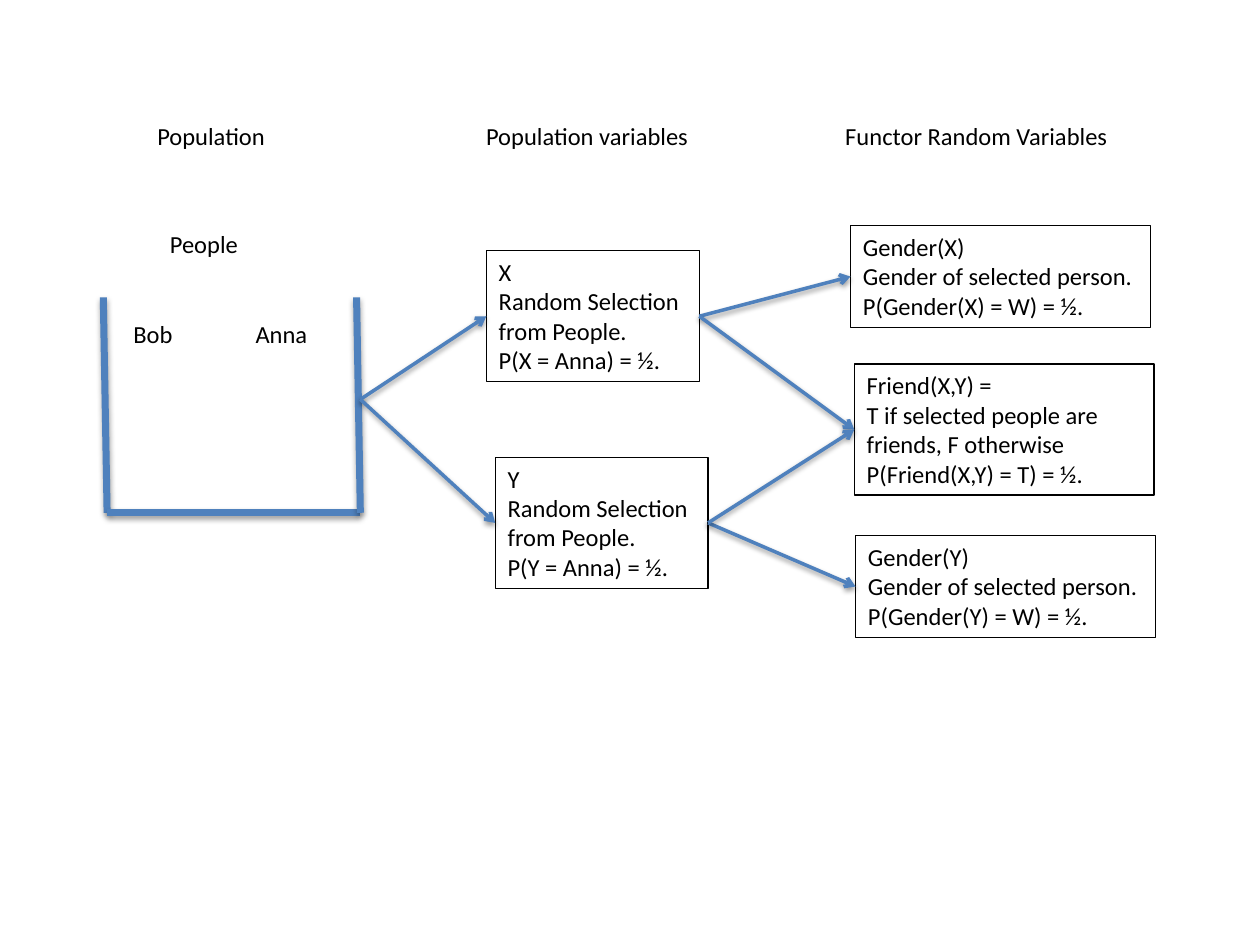
import pptx
import pptx.util
import pptx.dml.color
import pptx.enum.shapes
import pptx.enum.text
import pptx.oxml
import pptx.oxml.ns

COLORS = {"text": "000000", "border": "000000", "line": "4F81BD", "shadow": "000000"}
COLS, ROWS = 100, 75
LEFT, RIGHT = 1, 3  # connection sites of a rectangle


def rgb(name):
    return pptx.dml.color.RGBColor.from_string(COLORS[name])


class Diagram:
    """Style and current slide; lengths are columns and rows of the grid."""

    font = {"name": "Calibri", "size": pptx.util.Pt(14)}
    frame = {
        "word_wrap": True,
        "auto_size": pptx.enum.text.MSO_AUTO_SIZE.SHAPE_TO_FIT_TEXT,
        "vertical_anchor": pptx.enum.text.MSO_ANCHOR.TOP,
    }

    def __init__(self, prs):
        self.s = prs.slides.add_slide(prs.slide_layouts[6])
        self.col = prs.slide_width / COLS
        self.row = prs.slide_height / ROWS

    def place(self, *values):
        """Turn alternating columns and rows into lengths."""
        return [pptx.util.Emu(round(v * (self.row if i % 2 else self.col)))
                for i, v in enumerate(values)]

    def set_text(self, sp, lines):
        """Fill a shape with one left-aligned paragraph of broken lines."""
        tf = sp.text_frame
        for key, value in self.frame.items():
            setattr(tf, key, value)
        p = tf.paragraphs[0]
        p.text = "\v".join(lines)
        p.alignment = pptx.enum.text.PP_ALIGN.LEFT
        for r in p.runs:
            for key, value in self.font.items():
                setattr(r.font, key, value)
            r.font.color.rgb = rgb("text")

    def label(self, x, y, w, text):
        sp = self.s.shapes.add_textbox(*self.place(x, y, w, 3.4))
        self.set_text(sp, [text])

    def box(self, x, y, w, h, *lines):
        sp = self.s.shapes.add_shape(
            pptx.enum.shapes.MSO_SHAPE.RECTANGLE, *self.place(x, y, w, h))
        sp.shadow.inherit = False
        sp.fill.background()
        sp.line.color.rgb = rgb("border")
        sp.line.width = pptx.util.Pt(0.75)
        self.set_text(sp, lines)
        return sp

    def line(self, start, end, width):
        """Draw a shadowed line between two grid points."""
        c = self.s.shapes.add_connector(
            pptx.enum.shapes.MSO_CONNECTOR.STRAIGHT, *self.place(*start, *end))
        c.line.color.rgb = rgb("line")
        c.line.width = pptx.util.Pt(width)
        c.element.spPr.append(pptx.oxml.parse_xml(
            f'<a:effectLst {pptx.oxml.ns.nsdecls("a")}>'
            '<a:outerShdw blurRad="40000" dist="20000" dir="5400000" rotWithShape="0">'
            f'<a:srgbClr val="{COLORS["shadow"]}"><a:alpha val="38000"/></a:srgbClr>'
            '</a:outerShdw></a:effectLst>'))
        return c

    def arrow(self, source, target):
        """Lead from a grid point or a box's right side to a box's left side."""
        from_point = isinstance(source, tuple)
        start = source if from_point else (0, 0)
        c = self.line(start, start, 2)
        if not from_point:
            c.begin_connect(source, RIGHT)
        c.end_connect(target, LEFT)
        ln = c.element.spPr.find(pptx.oxml.ns.qn("a:ln"))
        ln.append(pptx.oxml.parse_xml(
            f'<a:tailEnd {pptx.oxml.ns.nsdecls("a")} type="arrow"/>'))


def main():
    prs = pptx.Presentation()
    prs.slide_width = pptx.util.Inches(10)
    prs.slide_height = pptx.util.Inches(7.5)
    d = Diagram(prs)

    for x, w, text in [(11.5, 15.7, "Population"),
                       (37.6, 21, "Population variables"),
                       (66.1, 25.1, "Functor Random Variables")]:
        d.label(x, 9.1, w, text)

    d.label(12.5, 17.7, 8.3, "People")
    d.label(9.6, 24.8, 5.9, "Bob")
    d.label(19.3, 24.8, 7.7, "Anna")
    bucket = [(8.2, 23.6), (8.5, 40.7), (28.6, 40.7), (28.3, 23.6)]
    for start, end in zip(bucket, bucket[1:]):
        d.line(start, end, 4)

    variables, genders = {}, {}
    for name, x, y, gx, gy in [("X", 38.6, 19.9, 67.5, 17.9),
                               ("Y", 39.3, 36.3, 67.9, 42.5)]:
        variables[name] = d.box(x, y, 16.9, 10.4, name, "Random Selection",
                                "from People.", f"P({name} = Anna) = ½.")
        genders[name] = d.box(gx, gy, 23.8, 8.1, f"Gender({name})",
                              "Gender of selected person.",
                              f"P(Gender({name}) = W) = ½.")
    friend = d.box(67.8, 28.9, 23.8, 10.4, "Friend(X,Y) =",
                   "T if selected people are friends, F otherwise",
                   "P(Friend(X,Y) = T) = ½.")

    for name, variable in variables.items():
        d.arrow((28.6, 31.7), variable)
        d.arrow(variable, genders[name])
        d.arrow(variable, friend)

    prs.save("out.pptx")


if __name__ == "__main__":
    main()
